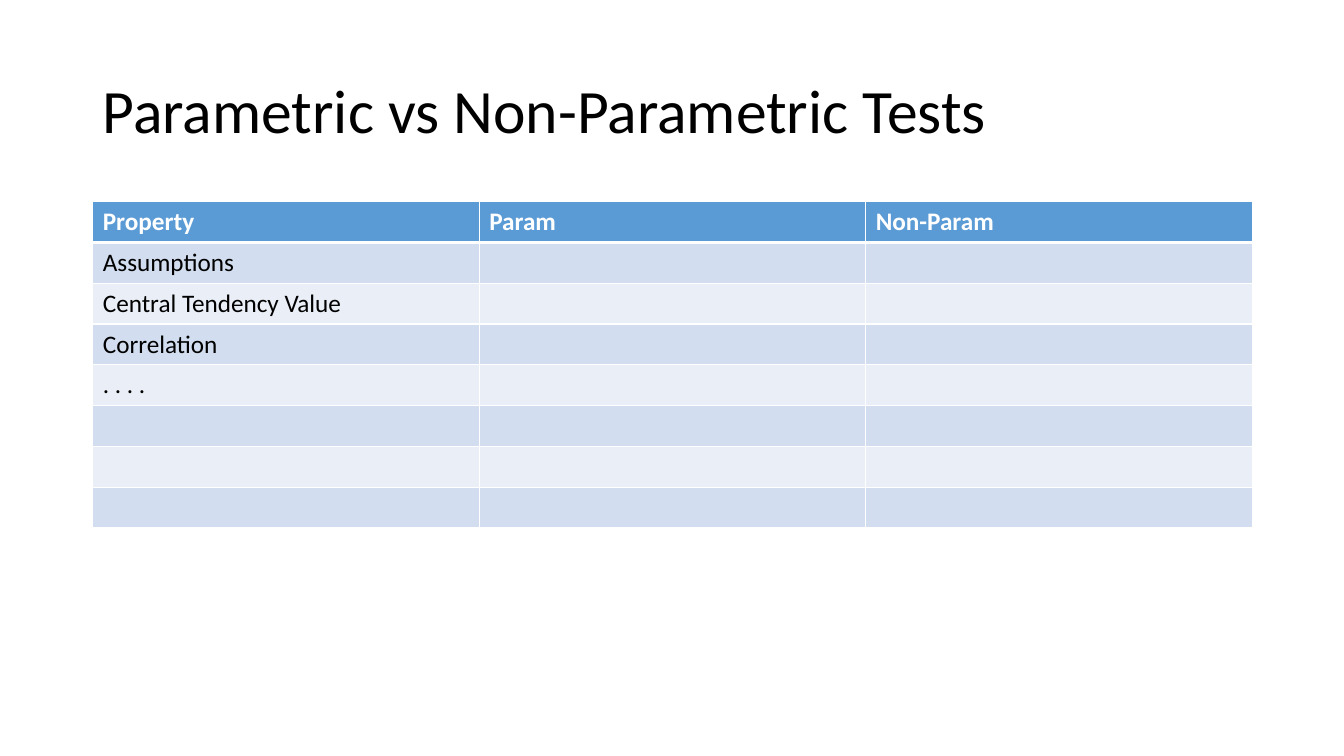
from lxml import etree
from pptx import Presentation
from pptx import util as u
from pptx.dml.color import RGBColor
from pptx.enum import text
from pptx.oxml.ns import qn

COLORS = {
    "text": "000000",
    "white": "FFFFFF",
    "header": "5B9BD5",
    "odd_row": "D2DEEF",
    "even_row": "EAEFF7",
}
FONT = "Calibri"
ROWS = [
    ["Property", "Param", "Non-Param"],
    ["Assumptions"],
    ["Central Tendency Value"],
    ["Correlation"],
    [". . . ."],
    [],
    [],
    [],
]
COLUMN_COUNT = len(ROWS[0])


def style_text(paragraph, size, color, bold=False):
    for run in paragraph.runs:
        run.font.name = FONT
        run.font.size = u.Pt(size)
        run.font.bold = bold
        run.font.color.rgb = RGBColor.from_string(COLORS[color])


def add_borders(cell, bottom_width):
    """Draw white 1 pt cell borders, with the bottom one bottom_width points wide."""
    properties = cell._tc.get_or_add_tcPr()
    widths = {"a:lnL": 1, "a:lnR": 1, "a:lnT": 1, "a:lnB": bottom_width}
    for index, (tag, width) in enumerate(widths.items()):
        line = etree.Element(qn(tag), w=str(u.Pt(width)))
        fill = etree.SubElement(line, qn("a:solidFill"))
        etree.SubElement(fill, qn("a:srgbClr"), val=COLORS["white"])
        properties.insert(index, line)


presentation = Presentation()
presentation.slide_width = u.Inches(13.33)
presentation.slide_height = u.Inches(7.5)
slide = presentation.slides.add_slide(presentation.slide_layouts[6])

left, width = u.Inches(0.92), u.Inches(11.5)

title = slide.shapes.add_textbox(left, u.Inches(0.4), width, u.Inches(1.45))
title.text_frame.word_wrap = True
title.text_frame.vertical_anchor = text.MSO_ANCHOR.MIDDLE
title.text_frame.text = "Parametric vs Non-Parametric Tests"
heading = title.text_frame.paragraphs[0]
heading.line_spacing = 0.9
style_text(heading, 44, "text")

table = slide.shapes.add_table(
    len(ROWS), COLUMN_COUNT, left, u.Inches(2), width, u.Inches(3.24)
).table

for row_index, labels in enumerate(ROWS):
    is_header = row_index == 0
    row_fill = "header" if is_header else "odd_row" if row_index % 2 else "even_row"
    for column_index in range(COLUMN_COUNT):
        cell = table.cell(row_index, column_index)
        cell.fill.solid()
        cell.fill.fore_color.rgb = RGBColor.from_string(COLORS[row_fill])
        add_borders(cell, 3 if is_header else 1)
        if column_index < len(labels):
            cell.text_frame.text = labels[column_index]
            style_text(cell.text_frame.paragraphs[0], 18,
                       "white" if is_header else "text", is_header)
        elif row_index == 1:
            add_top = cell._tc.get_or_add_tcPr().find(qn("a:lnT"))
            add_top.set("w", str(u.Pt(3)))

presentation.save("out.pptx")
